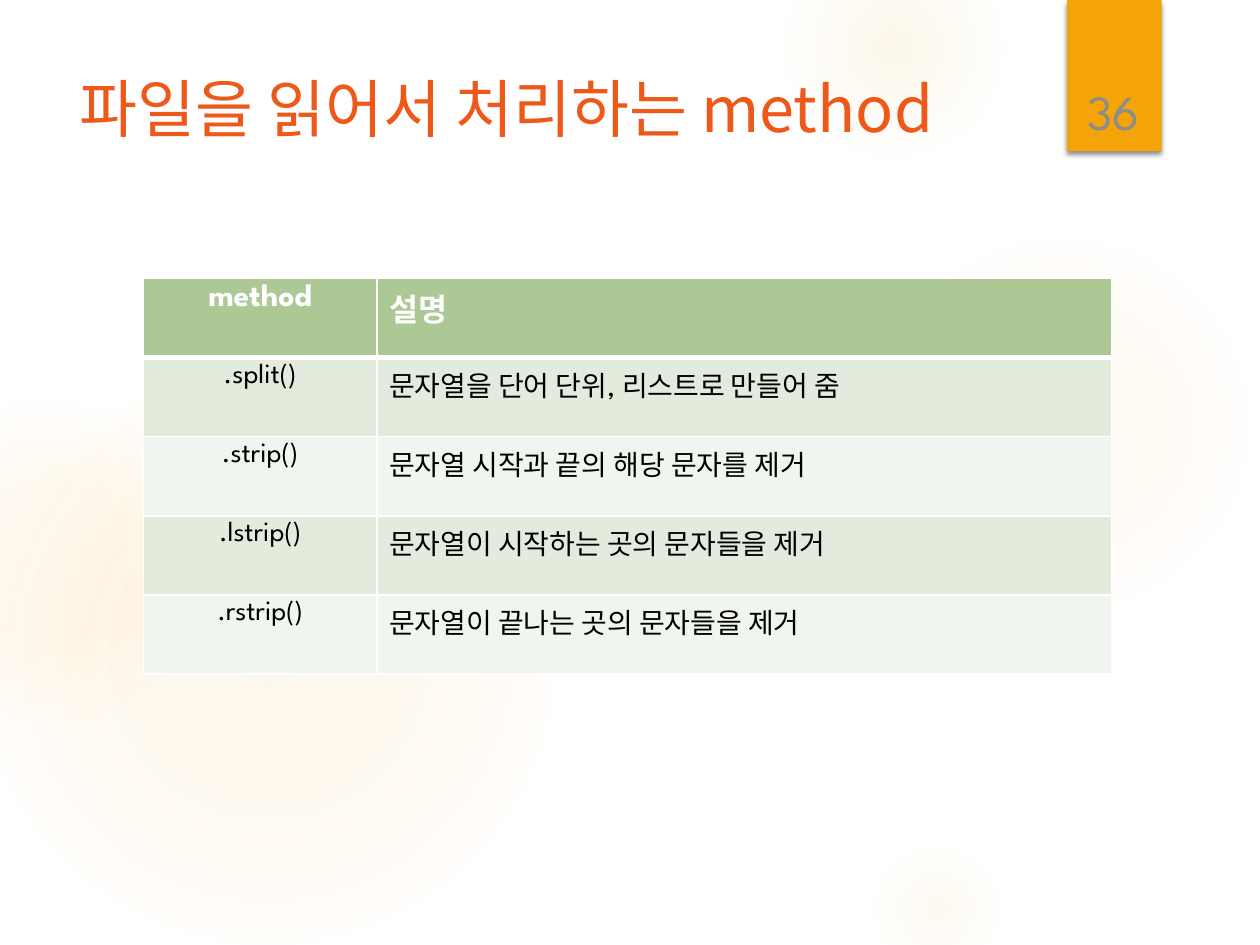
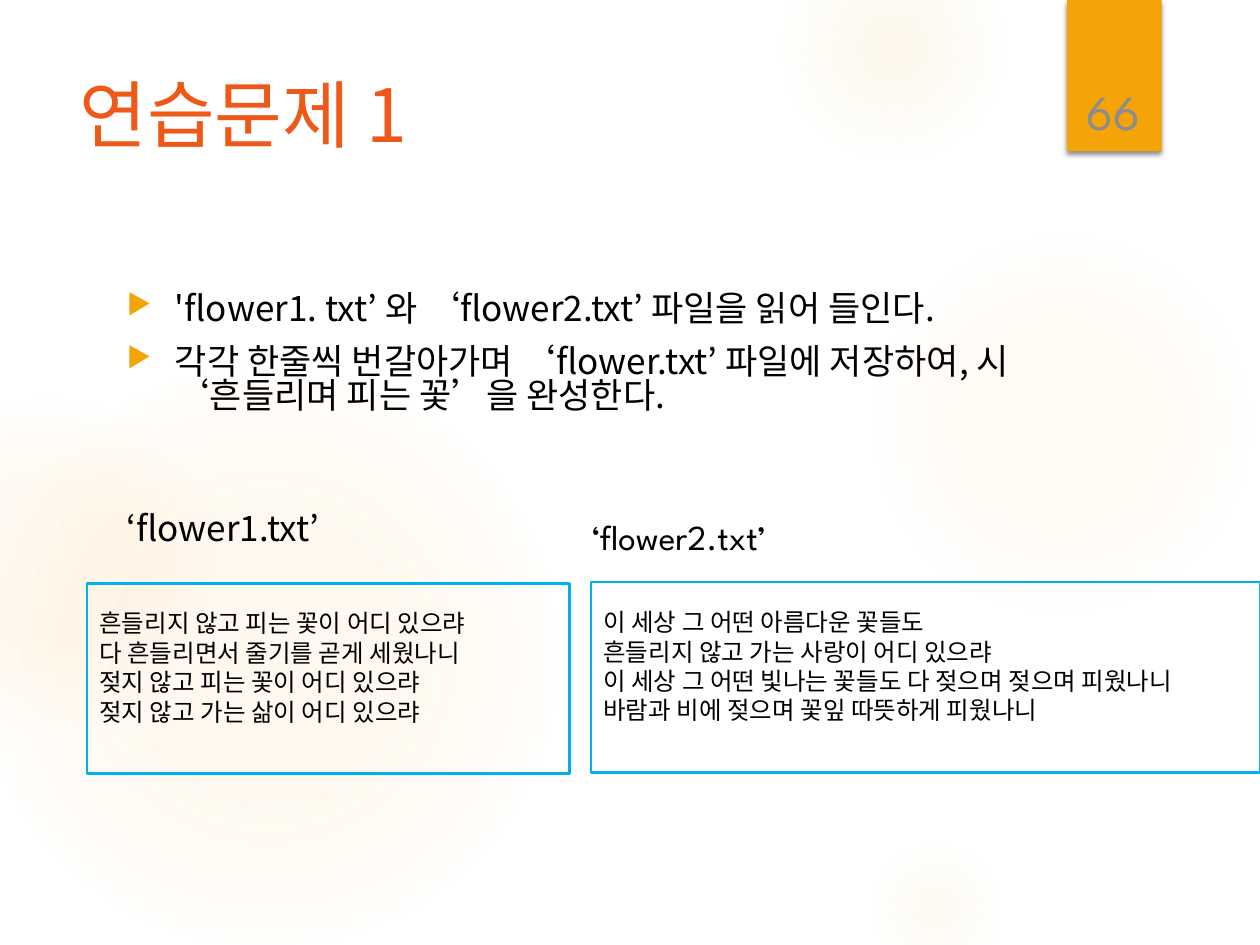
from dataclasses import dataclass

from lxml import etree
from pptx import Presentation
from pptx.dml.color import RGBColor
from pptx.enum.shapes import MSO_SHAPE
from pptx.enum.text import MSO_ANCHOR, MSO_AUTO_SIZE, PP_ALIGN
from pptx.oxml import parse_xml
from pptx.oxml.ns import nsdecls, qn
from pptx.util import Inches, Pt

OVAL, RECT = MSO_SHAPE.OVAL, MSO_SHAPE.RECTANGLE
TOP, BOTTOM = MSO_ANCHOR.TOP, MSO_ANCHOR.BOTTOM
LEFT, CENTER = PP_ALIGN.LEFT, PP_ALIGN.CENTER
FIXED = MSO_AUTO_SIZE.NONE
TITLE_ONLY = 5


@dataclass(frozen=True)
class Theme:
    glow: str = "FAC96A"
    band: str = "F5A408"
    title: str = "EE5818"
    page: str = "8C8C8C"
    text: str = "000000"
    white: str = "FFFFFF"
    head: str = "ACC995"
    rows: tuple = ("E3EBDD", "F1F5EF")
    frame: str = "00B0F0"
    latin: str = "League Spartan"
    hangul: str = "Noto Sans CJK KR"
    page_size: int = 28
    body_size: int = 20
    head_size: int = 18
    cell_size: int = 16
    poem_size: int = 14


T = Theme()

GLOWS = [
    ((6.89, 1.83, 3.08), ((0, 7), (36, 6), (69, 0))),
    ((6.22, -0.5, 1.75), ((0, 14), (36, 7), (73, 0))),
    ((6.89, 6.67, 1.08), ((0, 10), (31, 5), (66, 0))),
    ((-0.17, 2.92, 4.58), ((0, 11), (36, 10), (75, 0))),
    ((-0.92, 3.17, 2.58), ((0, 8), (36, 8), (72, 0))),
]
METHODS = [
    ("method", "설명"),
    (".split()", "문자열을 단어 단위, 리스트로 만들어 줌"),
    (".strip()", "문자열 시작과 끝의 해당 문자를 제거"),
    (".lstrip()", "문자열이 시작하는 곳의 문자들을 제거"),
    (".rstrip()", "문자열이 끝나는 곳의 문자들을 제거"),
]
TASKS = [
    "'flower1. txt’ 와 ‘flower2.txt’ 파일을 읽어 들인다.",
    "각각 한줄씩 번갈아가며 ‘flower.txt’ 파일에 저장하여, 시 ‘흔들리며 피는 꽃’을 완성한다.",
]
POEM_ONE = [
    "흔들리지 않고 피는 꽃이 어디 있으랴",
    "다 흔들리면서 줄기를 곧게 세웠나니",
    "젖지 않고 피는 꽃이 어디 있으랴",
    "젖지 않고 가는 삶이 어디 있으랴",
]
POEM_TWO = [
    "이 세상 그 어떤 아름다운 꽃들도",
    "흔들리지 않고 가는 사랑이 어디 있으랴",
    "이 세상 그 어떤 빛나는 꽃들도 다 젖으며 젖으며 피웠나니",
    "바람과 비에 젖으며 꽃잎 따뜻하게 피웠나니",
]


def rgb(color):
    return RGBColor.from_string(color)


def inches(box):
    return [Inches(n) for n in box]


def add_bullet(para):
    props = para._p.get_or_add_pPr()
    props.set("marL", str(Inches(0.38)))
    props.set("indent", str(-Inches(0.38)))
    color = etree.SubElement(props, qn("a:buClr"))
    etree.SubElement(color, qn("a:srgbClr"), val=T.band)
    etree.SubElement(props, qn("a:buSzPct"), val="80000")
    etree.SubElement(props, qn("a:buChar"), char="▶")


def write(frame, lines, size=T.body_size, color=T.text, font=T.latin, bold=False,
          align=LEFT, anchor=TOP, bullet=False, leading=None, gap=0):
    frame.word_wrap = True
    frame.vertical_anchor = anchor
    for i, line in enumerate([lines] if isinstance(lines, str) else lines):
        para = frame.add_paragraph() if i else frame.paragraphs[0]
        if bullet:
            add_bullet(para)
        para.alignment = align
        para.space_before = Pt(gap if i else 0)
        if leading:
            para.line_spacing = leading
        run = para.add_run()
        run.text = line
        run.font.size = Pt(size)
        run.font.bold = bold
        run.font.color.rgb = rgb(color)
        run.font.name = font
        etree.SubElement(run._r.get_or_add_rPr(), qn("a:ea"), typeface=T.hangul)


def add_text(slide, box, lines, **style):
    frame = slide.shapes.add_textbox(*inches(box)).text_frame
    write(frame, lines, **style)


def add_glow(slide, box, stops):
    left, top, size = box
    oval = slide.shapes.add_shape(OVAL, *inches((left, top, size, size)))
    oval.shadow.inherit = False
    oval.line.fill.background()
    marks = "".join(
        f'<a:gs pos="{pos * 1000}"><a:srgbClr val="{T.glow}">'
        f'<a:alpha val="{alpha * 1000}"/></a:srgbClr></a:gs>'
        for pos, alpha in stops)
    fill = parse_xml(
        f'<a:gradFill {nsdecls("a")} rotWithShape="1"><a:gsLst>{marks}</a:gsLst>'
        '<a:path path="circle"><a:fillToRect l="50000" t="50000" r="50000" b="50000"/>'
        '</a:path></a:gradFill>')
    oval._element.spPr.find(qn("a:prstGeom")).addnext(fill)


def add_band(slide, box, page):
    left, top, width, height = box
    band = slide.shapes.add_shape(RECT, *inches(box))
    band.shadow.inherit = False
    band.fill.solid()
    band.fill.fore_color.rgb = rgb(T.band)
    band.line.fill.background()
    shade = parse_xml(
        f'<a:outerShdw {nsdecls("a")} blurRad="{Pt(3)}" dist="{Pt(2)}" dir="5400000" '
        'rotWithShape="0"><a:srgbClr val="000000"><a:alpha val="45000"/></a:srgbClr>'
        '</a:outerShdw>')
    band._element.spPr.find(qn("a:effectLst")).append(shade)
    add_text(slide, (left + 0.02, top + 0.32, width - 0.06, height - 0.36), page,
             size=T.page_size, color=T.page, align=CENTER, anchor=BOTTOM)


def add_page(deck, title, size, page):
    slide = deck.slides.add_slide(deck.slide_layouts[TITLE_ONLY])
    for box, stops in GLOWS:
        add_glow(slide, box, stops)
    add_band(slide, (8.47, 0, 0.75, 1.2), page)
    head = slide.shapes.title
    head.left, head.top, head.width, head.height = inches((0.53, 0.5, 7.72, 1.53))
    head.text_frame.auto_size = FIXED
    write(head.text_frame, title, size=size, color=T.title, font=T.hangul)
    slide.shapes._spTree.append(head._element)
    return slide


def set_edges(cell, bottom, top):
    props = cell._tc.get_or_add_tcPr()
    for side, width in (("L", 1), ("R", 1), ("T", top), ("B", bottom)):
        line = etree.SubElement(props, qn(f"a:ln{side}"), w=str(Pt(width)))
        fill = etree.SubElement(line, qn("a:solidFill"))
        etree.SubElement(fill, qn("a:srgbClr"), val=T.white)


def add_grid(slide, box, rows, first):
    width, height = box[2:]
    table = slide.shapes.add_table(len(rows), 2, *inches(box)).table
    for col, size in zip(table.columns, (first, width - first)):
        col.width = Inches(size)
    for i, row in enumerate(rows):
        table.rows[i].height = Inches(height / len(rows))
        is_head = i == 0
        for j, text in enumerate(row):
            cell = table.cell(i, j)
            set_edges(cell, bottom=3 if is_head else 1, top=3 if i == 1 else 1)
            cell.fill.solid()
            cell.fill.fore_color.rgb = rgb(T.head if is_head else T.rows[(i - 1) % 2])
            write(cell.text_frame, text, bold=is_head,
                  size=T.head_size if is_head else T.cell_size,
                  color=T.white if is_head else T.text,
                  align=LEFT if j else CENTER)


def add_poem(slide, box, lines):
    left, top, width, height = box
    add_text(slide, (left, top + 0.15, width, 1.04), lines,
             size=T.poem_size, leading=Pt(16.8))
    frame = slide.shapes.add_shape(RECT, *inches(box))
    frame.shadow.inherit = False
    frame.fill.background()
    frame.line.color.rgb = rgb(T.frame)
    frame.line.width = Pt(1.5)


def build_methods(deck):
    slide = add_page(deck, "파일을 읽어서 처리하는 method", 36, "36")
    add_grid(slide, (1.14, 2.21, 7.68, 3.14), METHODS, 1.85)


def build_quiz(deck):
    slide = add_page(deck, "연습문제 1", 42, "66")
    add_text(slide, (0.91, 2.29, 7.4, 1.5), TASKS, font=T.hangul,
             bullet=True, leading=0.81, gap=10.8)
    add_text(slide, (0.91, 4.03, 3.5, 0.5), "‘flower1.txt’", font=T.hangul, leading=0.81)
    add_text(slide, (4.6, 4.08, 3.5, 0.5), "‘flower2.txt’", leading=0.9)
    add_poem(slide, (0.69, 4.63, 3.83, 1.51), POEM_ONE)
    add_poem(slide, (4.69, 4.62, 5.31, 1.51), POEM_TWO)


def main():
    deck = Presentation()
    deck.slide_width, deck.slide_height = Inches(10), Inches(7.5)
    build_methods(deck)
    build_quiz(deck)
    deck.save("out.pptx")


if __name__ == "__main__":
    main()
